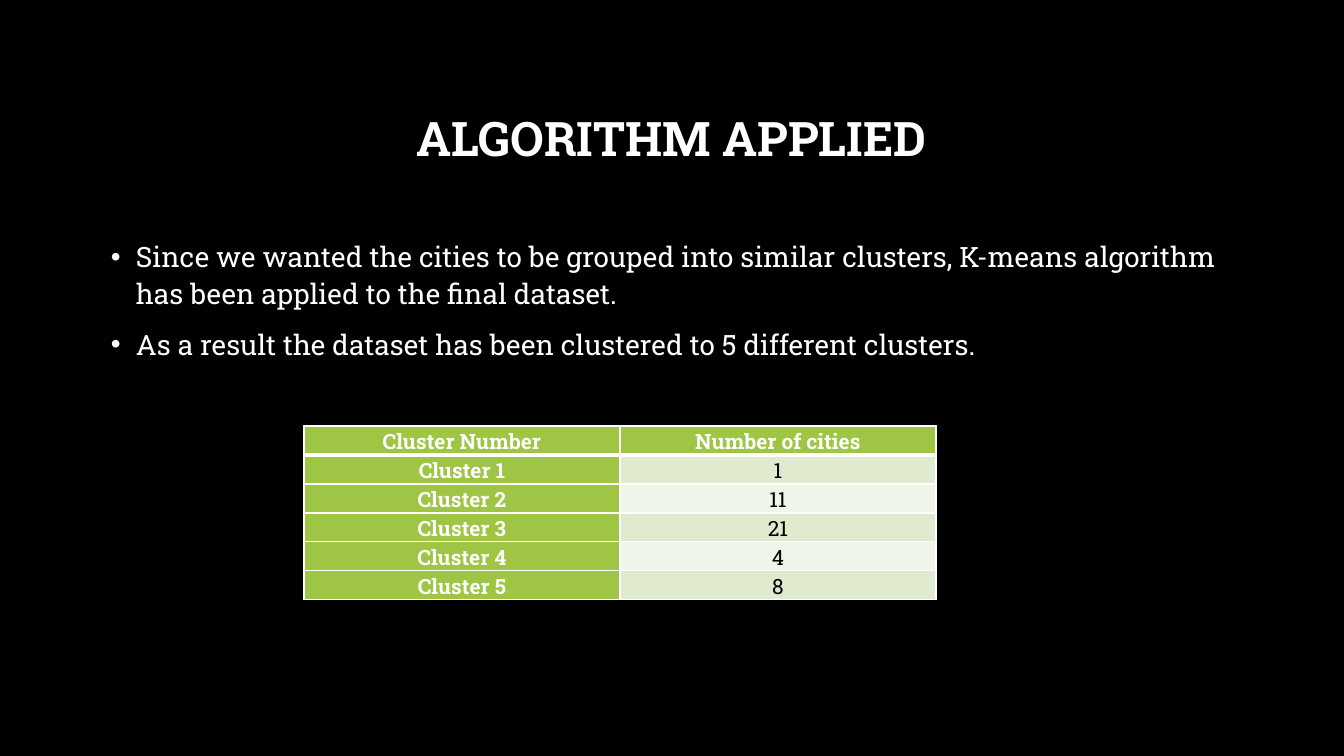
from lxml.etree import SubElement
from pptx import Presentation
from pptx.dml.color import RGBColor
from pptx.enum.text import MSO_ANCHOR, PP_ALIGN
from pptx.oxml.ns import qn
from pptx.util import Pt

EMU_PER_PX = 914400 / 100.8
FONT = "Roboto Slab"
BLACK = RGBColor(0x00, 0x00, 0x00)
WHITE = RGBColor(0xFF, 0xFF, 0xFF)
GREEN = RGBColor(0x9E, 0xC5, 0x44)
BANDS = [RGBColor(0xDF, 0xEA, 0xCF), RGBColor(0xF0, 0xF5, 0xE9)]


def px(*lengths):
    """Turn pixel lengths into EMU."""
    return [round(length * EMU_PER_PX) for length in lengths]


def write(paragraph, text, size, color, bold, line_spacing):
    paragraph.line_spacing = line_spacing
    run = paragraph.add_run()
    run.text = text
    for name, value in {"name": FONT, "size": Pt(size), "bold": bold}.items():
        setattr(run.font, name, value)
    run.font.color.rgb = color


deck = Presentation()
deck.slide_width, deck.slide_height = px(1344, 756)
slide = deck.slides.add_slide(deck.slide_layouts[6])
slide.background.fill.solid()
slide.background.fill.fore_color.rgb = BLACK

# Title
title = slide.shapes.add_textbox(*px(101, 68, 1141, 146)).text_frame
title.word_wrap = True
title.vertical_anchor = MSO_ANCHOR.MIDDLE
title.paragraphs[0].alignment = PP_ALIGN.CENTER
write(title.paragraphs[0], "ALGORITHM APPLIED", 34, WHITE, True, 0.9)

# Bullet points
points = [
    "Since we wanted the cities to be grouped into similar clusters, "
    "K-means algorithm has been applied to the final dataset.",
    "As a result the dataset has been clustered to 5 different clusters.",
]
body = slide.shapes.add_textbox(*px(101, 231, 1141, 407)).text_frame
body.word_wrap = True
indent, = px(25)
for index, point in enumerate(points):
    paragraph = body.add_paragraph() if index else body.paragraphs[0]
    write(paragraph, point, 20, WHITE, False, 1.11)
    if index:
        paragraph.space_before = Pt(9.5)
    properties = paragraph._p.get_or_add_pPr()
    properties.set("marL", str(indent))
    properties.set("indent", str(-indent))
    SubElement(properties, qn("a:buFont"), typeface="Arial")
    SubElement(properties, qn("a:buChar"), char="•")

# Cluster table
clusters = [("Cluster Number", "Number of cities")]
clusters += [(f"Cluster {n}", str(cities))
             for n, cities in enumerate([1, 11, 21, 4, 8], start=1)]
table = slide.shapes.add_table(len(clusters), 2, *px(304, 426, 632, 174)).table
margins = dict(zip(("margin_left", "margin_top", "margin_right", "margin_bottom"),
                   px(7, 0, 7, 0)))
for row, texts in enumerate(clusters):
    for column, text in enumerate(texts):
        cell = table.cell(row, column)
        for name, value in margins.items():
            setattr(cell, name, value)
        heading = row == 0 or column == 0
        paragraph = cell.text_frame.paragraphs[0]
        paragraph.alignment = PP_ALIGN.CENTER
        write(paragraph, text, 15, WHITE if heading else BLACK, heading, 1.07)

        cell_properties = cell._tc.get_or_add_tcPr()
        for side in ("lnL", "lnR", "lnT", "lnB"):
            thick = (row, side) in ((0, "lnB"), (1, "lnT"))
            border = SubElement(cell_properties, qn(f"a:{side}"),
                                w=str(Pt(3 if thick else 1)))
            border_fill = SubElement(border, qn("a:solidFill"))
            SubElement(border_fill, qn("a:srgbClr"), val=str(WHITE))
        cell.fill.solid()
        cell.fill.fore_color.rgb = GREEN if heading else BANDS[(row - 1) % 2]

deck.save("out.pptx")
